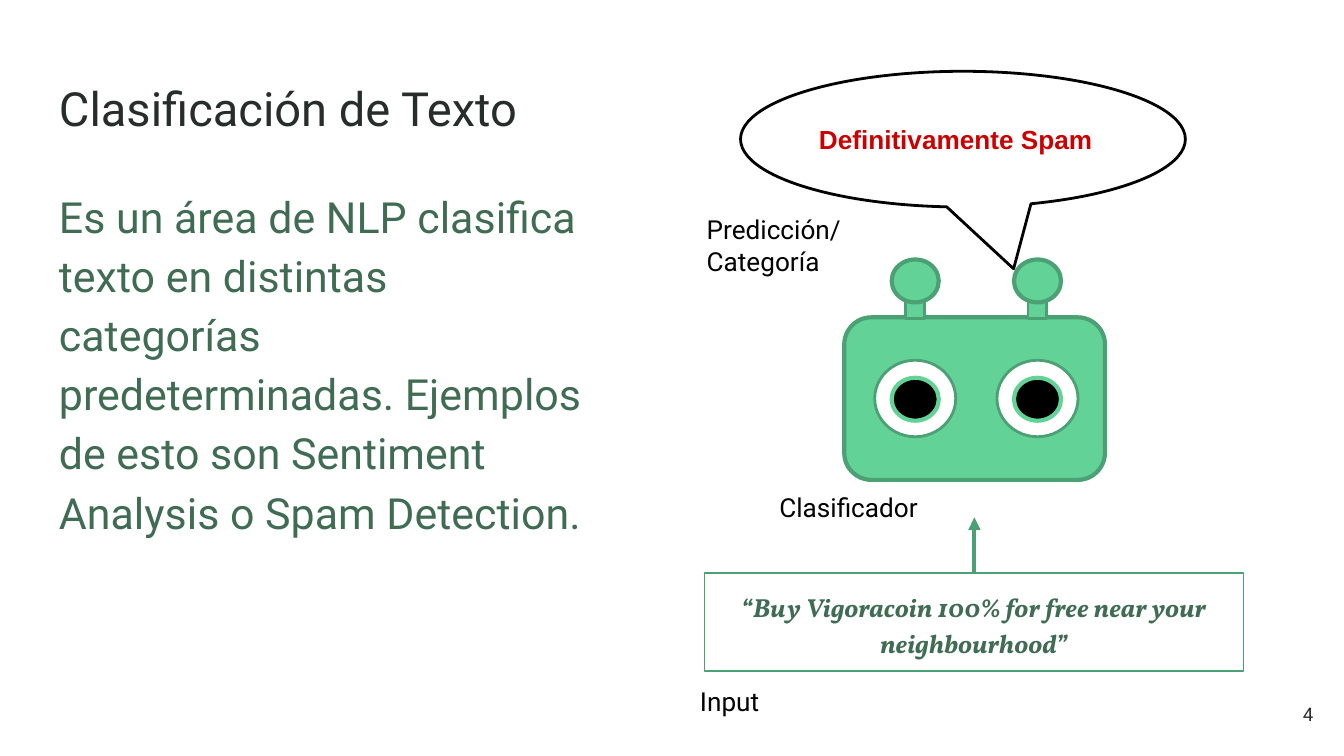
from lxml import etree
from pptx import Presentation
from pptx.dml.color import RGBColor
from pptx.enum import shapes, text
from pptx.oxml import ns
from pptx.util import Pt

INK = RGBColor(0x27, 0x2D, 0x2A)
MOSS = RGBColor(0x40, 0x6C, 0x54)
MINT = RGBColor(0x63, 0xD2, 0x97)
EDGE = RGBColor(0x4B, 0xA1, 0x73)
RED = RGBColor(0xCC, 0x00, 0x00)
BLACK = RGBColor(0, 0, 0)
WHITE = RGBColor(0xFF, 0xFF, 0xFF)

KIND = shapes.MSO_SHAPE
ALIGN = text.PP_ALIGN
MIDDLE = text.MSO_ANCHOR.MIDDLE


def write(shape, lines, size, color, font="Roboto", align=ALIGN.LEFT,
          anchor=text.MSO_ANCHOR.TOP, bold=False, slant=False, space=None, after=0):
    frame = shape.text_frame
    frame.word_wrap = True
    frame.vertical_anchor = anchor
    frame.margin_left = frame.margin_right = Pt(7.2)
    frame.margin_top = frame.margin_bottom = Pt(7.2)
    for i, line in enumerate(lines):
        para = frame.add_paragraph() if i else frame.paragraphs[0]
        para.alignment = align
        para.space_after = Pt(after)
        if space:
            para.line_spacing = space
        run = para.add_run()
        run.text = line
        run.font.name = font
        run.font.size = Pt(size)
        run.font.bold = bold
        run.font.italic = slant
        run.font.color.rgb = color


def label(slide, box, lines, size, color, **style):
    write(slide.shapes.add_textbox(*map(Pt, box)), lines, size, color, **style)


def form(slide, kind, box, fill, edge, width):
    shape = slide.shapes.add_shape(kind, *map(Pt, box))
    shape.shadow.inherit = False
    if fill is None:
        shape.fill.background()
    else:
        shape.fill.solid()
        shape.fill.fore_color.rgb = fill
    shape.line.color.rgb = edge
    shape.line.width = Pt(width)
    return shape


def arrow(slide, start, end, color, width):
    line = slide.shapes.add_connector(shapes.MSO_CONNECTOR.STRAIGHT,
                                      *map(Pt, start + end))
    line.line.color.rgb = color
    line.line.width = Pt(width)
    tip = etree.SubElement(line.line._get_or_add_ln(), ns.qn("a:tailEnd"))
    tip.set("type", "triangle")
    etree.SubElement(line._element.spPr, ns.qn("a:effectLst"))


def robot(slide):
    # Head
    form(slide, KIND.ROUNDED_RECTANGLE, (452.3, 170, 139.7, 87.1), MINT, EDGE, 2.25)
    # Each part: kind, top, width, height, fill, edge, line width
    parts = [
        (KIND.DONUT, 193, 43.4, 41, WHITE, EDGE, 1.5),
        (KIND.OVAL, 202.4, 25.2, 23, BLACK, MINT, 2.25),
        (KIND.RECTANGLE, 155.5, 10.1, 15.1, MINT, EDGE, 1.5),
        (KIND.OVAL, 139, 25.2, 23, MINT, EDGE, 2.25),
    ]
    # Eye, pupil, stem and ball share one axis on each side
    for kind, top, wide, high, fill, edge, width in parts:
        for axis in (490.3, 555.8):
            form(slide, kind, (axis - wide / 2, top, wide, high), fill, edge, width)


def main():
    deck = Presentation()
    deck.slide_width, deck.slide_height = Pt(720), Pt(405)
    slide = deck.slides.add_slide(deck.slide_layouts[6])

    # Page number, title and body
    label(slide, (667.4, 367.2, 43.2, 31), ["4"], 10, INK,
          align=ALIGN.RIGHT, anchor=MIDDLE)
    label(slide, (24.5, 35.3, 671, 45.4), ["Clasificación de Texto"], 25.2, INK)
    label(slide, (24.5, 90.7, 298.8, 269.3),
          ["Es un área de NLP clasifica texto en distintas categorías "
           "predeterminadas. Ejemplos de esto son Sentiment Analysis o "
           "Spam Detection."], 23, MOSS, space=1.15, after=12)

    # Input message
    note = form(slide, KIND.RECTANGLE, (377.3, 306.9, 288.9, 52.6), None, EDGE, 0.75)
    write(note, ["“Buy Vigoracoin 100% for free near your neighbourhood”"], 14, MOSS,
          font="Vollkorn", align=ALIGN.CENTER, bold=True, slant=True,
          space=1.15, after=12)

    # Classifier and its prediction
    robot(slide)
    speech = form(slide, KIND.OVAL_CALLOUT, (396.7, 38.2, 238.3, 72.7), None, BLACK, 1.5)
    speech.adjustments[0] = 0.114
    speech.adjustments[1] = 0.955
    write(speech, ["Definitivamente Spam"], 14, RED, font="Arial",
          anchor=MIDDLE, bold=True)
    arrow(slide, (522, 306.7), (522, 277.2), EDGE, 2.25)

    # Stage labels
    label(slide, (367.9, 360, 56.9, 31.7), ["Input"], 14, BLACK)
    label(slide, (410.4, 256.3, 97.9, 31.7), ["Clasificador"], 14, BLACK)
    label(slide, (371.5, 107.3, 97.9, 48.2), ["Predicción/", "Categoría"], 14, BLACK)

    deck.save("out.pptx")


if __name__ == "__main__":
    main()
